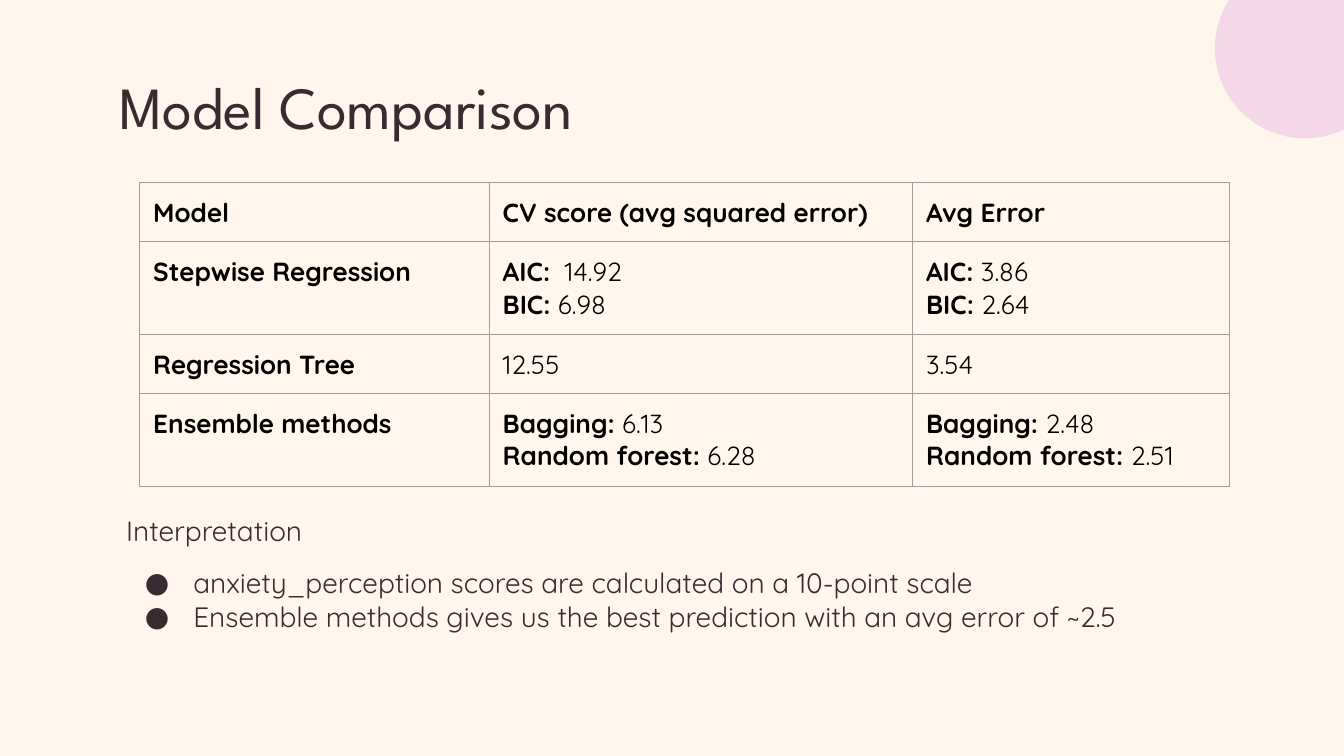
"""Build the model comparison slide."""
import math
import pptx
import pptx.dml.color
import pptx.enum.text
import pptx.oxml
import pptx.oxml.ns
import pptx.util
from pptx.util import Inches

INK = "382B31"
BODY = "Quicksand"


def color(code):
    """Turn a hex string into a colour."""
    return pptx.dml.color.RGBColor.from_string(code)


def paint(fill, code):
    """Give a fill one solid colour."""
    fill.solid()
    fill.fore_color.rgb = color(code)


def add_run(para, text, font, size, code, bold=False):
    """Add one styled run to a paragraph."""
    run = para.add_run()
    run.text = text
    run.font.name = font
    run.font.size = pptx.util.Pt(size)
    run.font.bold = bold
    run.font.color.rgb = color(code)


def add_node(parent, tag, **attrs):
    """Append a drawing element with its attributes."""
    node = pptx.oxml.parse_xml(f'<a:{tag} {pptx.oxml.ns.nsdecls("a")}/>')
    for name, value in attrs.items():
        node.set(name, str(value))
    parent.append(node)
    return node


def add_box(slide, left, top, width, height):
    """Add a wrapping text box and return its frame."""
    box = slide.shapes.add_textbox(
        Inches(left), Inches(top), Inches(width), Inches(height))
    frame = box.text_frame
    frame.word_wrap = True
    frame.vertical_anchor = pptx.enum.text.MSO_ANCHOR.TOP
    frame.margin_left = frame.margin_right = Inches(0.1)
    frame.margin_top = frame.margin_bottom = Inches(0.1)
    return frame


def add_disc(slide, mid_x, mid_y, radius, edge):
    """Draw a disc cut off by the top and right slide edges."""
    start = math.pi + math.asin(mid_y / radius)
    end = math.acos((edge - mid_x) / radius)
    steps = 90
    angles = [start + (end - start) * i / steps for i in range(steps + 1)]
    points = [(Inches(mid_x + radius * math.cos(a)),
               Inches(mid_y + radius * math.sin(a))) for a in angles]
    form = slide.shapes.build_freeform(Inches(edge), 0)
    form.add_line_segments(points, close=True)
    disc = form.convert_to_shape()
    disc.shadow.inherit = False
    paint(disc.fill, "F5D8E8")
    disc.line.fill.background()


def add_bullet(para):
    """Give a paragraph a hanging round bullet."""
    props = para._p.get_or_add_pPr()
    props.set("marL", str(Inches(0.5)))
    props.set("indent", str(Inches(-0.36)))
    add_node(add_node(props, "buClr"), "srgbClr", val=INK)
    add_node(props, "buFont", typeface=BODY)
    add_node(props, "buChar", char="●")


def add_notes(slide, head, points):
    """Write a heading with bulleted points under it."""
    frame = add_box(slide, 0.84, 3.72, 8.18, 1.57)
    add_run(frame.paragraphs[0], head, BODY, 15, INK)
    for i, point in enumerate(points):
        para = frame.add_paragraph()
        add_bullet(para)
        para.space_before = pptx.util.Pt(0 if i else 10)
        add_run(para, point, BODY, 15, INK)


def add_edges(cell):
    """Draw thin grey borders round a cell."""
    props = cell._tc.get_or_add_tcPr()
    for tag in ("lnL", "lnR", "lnT", "lnB"):
        line = add_node(props, tag, w=pptx.util.Pt(0.75))
        add_node(add_node(line, "solidFill"), "srgbClr", val="9E9E9E")


def fill_cell(cell, lines):
    """Write lines of bold label and plain value into a cell."""
    cell.margin_left = cell.margin_right = Inches(0.1)
    cell.margin_top = cell.margin_bottom = Inches(0.1)
    add_edges(cell)
    cell.fill.background()
    frame = cell.text_frame
    for i, (label, value) in enumerate(lines):
        para = frame.add_paragraph() if i else frame.paragraphs[0]
        if label:
            add_run(para, label, BODY, 14, "000000", True)
        if value:
            add_run(para, value, BODY, 14, "000000")


def add_grid(slide, rows, widths, heights):
    """Add the table of model scores."""
    grid = slide.shapes.add_table(
        len(rows), len(widths), Inches(1.04), Inches(1.36),
        Inches(sum(widths)), Inches(sum(heights))).table
    grid.first_row = grid.horz_banding = False
    for col, width in zip(grid.columns, widths):
        col.width = Inches(width)
    for r, row in enumerate(rows):
        grid.rows[r].height = Inches(heights[r])
        for c, lines in enumerate(row):
            fill_cell(grid.cell(r, c), lines)


def main():
    """Build and save the slide."""
    deck = pptx.Presentation()
    deck.slide_width = Inches(10)
    deck.slide_height = Inches(10) * 9 // 16
    slide = deck.slides.add_slide(deck.slide_layouts[6])
    paint(slide.background.fill, "FFF6ED")
    add_disc(slide, 9.71, 0.36, 0.67, 10)
    add_notes(slide, "Interpretation", [
        "anxiety_perception scores are calculated on a 10-point scale",
        "Ensemble methods gives us the best prediction with an avg error of ~2.5",
    ])
    title = add_box(slide, 0.79, 0.42, 8.43, 0.65)
    add_run(title.paragraphs[0], "Model Comparison", "League Spartan", 32, INK)
    rows = [
        [[("Model", "")], [("CV score (avg squared error)", "")],
         [("Avg Error", "")]],
        [[("Stepwise Regression", "")],
         [("AIC: ", " 14.92"), ("BIC:", " 6.98")],
         [("AIC: ", "3.86"), ("BIC: ", "2.64")]],
        [[("Regression Tree", "")], [("", "12.55")], [("", "3.54")]],
        [[("Ensemble methods", "")],
         [("Bagging:", " 6.13"), ("Random forest:", " 6.28")],
         [("Bagging: ", "2.48"), ("Random forest: ", "2.51")]],
    ]
    add_grid(slide, rows, [2.6, 3.15, 2.36], [0.44, 0.69] * 2)
    deck.save("out.pptx")


if __name__ == "__main__":
    main()
